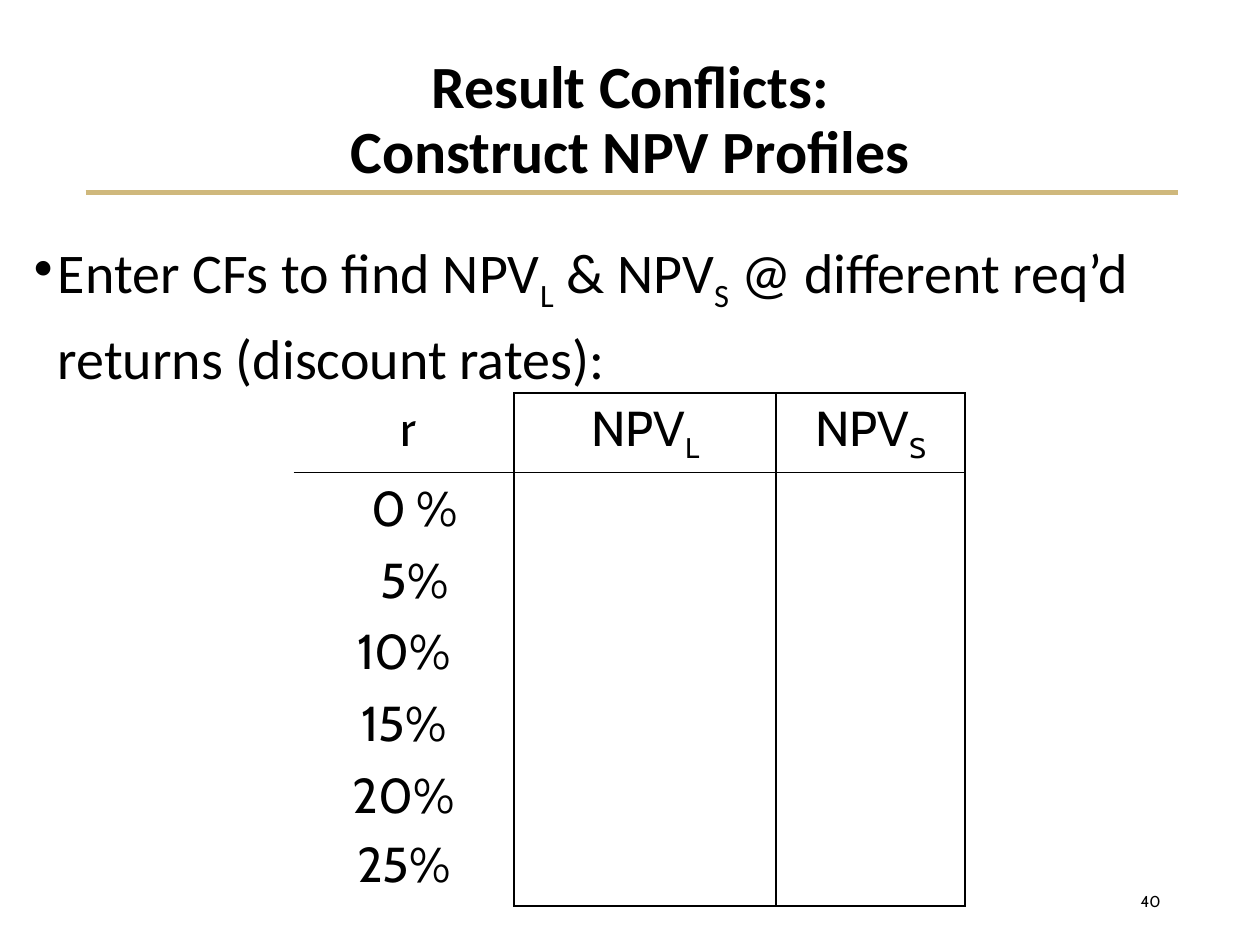
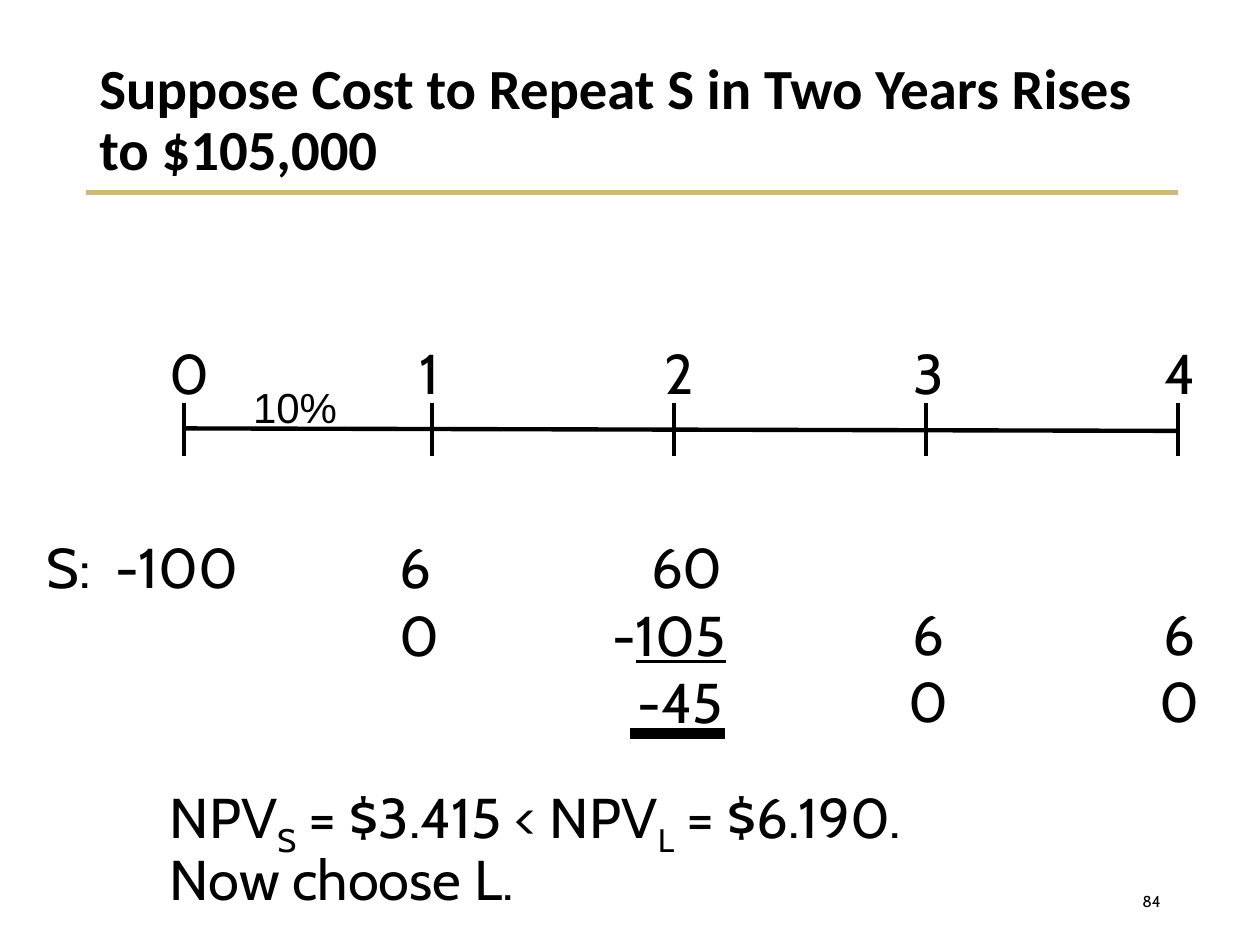
from lxml import etree
from pptx import Presentation
from pptx import util as u
from pptx.dml.color import RGBColor
from pptx.enum import shapes, text
from pptx.oxml.ns import qn

PX = 9144  # EMU per px, at 100 px to the inch
COLORS = {"ink": "000000", "gold": "CFB87C"}
TITLE = {"name": "Calibri", "bold": True}
BODY = {"name": "Calibri", "size": u.Pt(32)}
FIGURE = {"name": "Cabin", "size": u.Pt(32)}
TABLE = {"name": "Cabin", "size": u.Pt(28)}
PAGE = {"name": "Cabin", "size": u.Pt(9)}
RATE = {"name": "Arial", "size": u.Pt(24)}
CENTER, RIGHT = text.PP_ALIGN.CENTER, text.PP_ALIGN.RIGHT
MIDDLE = text.MSO_ANCHOR.MIDDLE


def color(name):
    return RGBColor.from_string(COLORS[name])


def add(parent, tag, **attributes):
    return etree.SubElement(parent, qn(tag), attributes)


def sub(letter):
    """A run set as a subscript."""
    return letter, {"baseline": "-25000"}


class Deck:
    def __init__(self):
        self.prs = Presentation()
        self.prs.slide_width, self.prs.slide_height = 1000 * PX, 750 * PX
        self.slide = None

    def new_slide(self, title, size, page, align=None):
        self.slide = self.prs.slides.add_slide(self.prs.slide_layouts[6])
        self.line(68, 153, 935, 153, 3, "gold")
        self.box((69, 40, 862, 113), [title], {**TITLE, "size": u.Pt(size)},
                 anchor=MIDDLE, alignment=align, line_spacing=0.9)
        self.box((706, 695, 225, 40), [page], PAGE, anchor=MIDDLE, alignment=RIGHT)

    def line(self, x1, y1, x2, y2, weight, ink="ink"):
        ends = [v * PX for v in (x1, y1, x2, y2)]
        line = self.slide.shapes.add_connector(shapes.MSO_CONNECTOR.STRAIGHT, *ends)
        line.line.color.rgb = color(ink)
        line.line.width = u.Pt(weight)
        add(line._element.spPr, "a:effectLst")

    def paragraph(self, para, content, font, indent=0, hanging=0, bullet=None,
                  tab=None, **layout):
        """Fill a paragraph from a string or a list of strings and (string, attributes)."""
        props = para._p.get_or_add_pPr()
        if indent:
            props.set("marL", str(indent * PX))
            props.set("indent", str(-hanging * PX))
        if bullet:
            add(props, "a:buChar", char=bullet)
        if tab:
            add(add(props, "a:tabLst"), "a:tab", pos=str(tab * PX), algn="l")
        for key, value in layout.items():
            setattr(para, key, value)
        for part in [content] if isinstance(content, str) else content:
            words, attributes = (part, {}) if isinstance(part, str) else part
            for i, row in enumerate(words.split("\n")):
                if i:
                    para.add_line_break()
                run = para.add_run()
                run.text = row
                for key, value in font.items():
                    setattr(run.font, key, value)
                run.font.color.rgb = color("ink")
                for key, value in attributes.items():
                    run._r.get_or_add_rPr().set(key, value)

    def box(self, place, paragraphs, font, wrap=True, anchor=None, indents=(), **layout):
        frame = self.slide.shapes.add_textbox(*[v * PX for v in place]).text_frame
        frame.word_wrap = wrap
        frame.vertical_anchor = anchor
        for i, content in enumerate(paragraphs):
            para = frame.add_paragraph() if i else frame.paragraphs[0]
            if indents:
                layout["indent"] = indents[i]
            self.paragraph(para, content, font, **layout)

    def borders(self, cell, edges):
        props = cell._tc.get_or_add_tcPr()
        for edge in "LRTB":
            line = add(props, f"a:ln{edge}", w=str(u.Pt(1)))
            if edge in edges:
                add(add(line, "a:solidFill"), "a:srgbClr", val=COLORS["ink"])
            else:
                add(line, "a:noFill")
        cell.fill.background()

    def profile_table(self, place, widths, heights, headings, rates):
        """Headings over a column of (indent, lines) rates, with open columns beside it."""
        shape = self.slide.shapes.add_table(len(heights), len(widths),
                                            *[v * PX for v in place])
        table = shape.table
        table.first_row = table.horz_banding = False
        for column, width in zip(table.columns, widths):
            column.width = width * PX
        for row, height in zip(table.rows, heights):
            row.height = height * PX
        last = len(heights) - 1
        for r in range(len(heights)):
            for c in range(len(widths)):
                edges = "LR" if c else "R"
                edges += {0: "TB" if c else "B", 1: "T"}.get(r, "")
                if r == last and c:
                    edges += "B"
                self.borders(table.cell(r, c), edges)
        for c, (indent, heading) in enumerate(headings):
            self.paragraph(table.cell(0, c).text_frame.paragraphs[0], heading, TABLE,
                           indent=indent, alignment=CENTER)
        for r, (indent, lines) in enumerate(rates, 1):
            frame = table.cell(r, 0).text_frame
            for i, rate in enumerate(lines):
                para = frame.add_paragraph() if i else frame.paragraphs[0]
                self.paragraph(para, rate, TABLE, indent=indent, alignment=CENTER)
                if i:
                    para.space_before = u.Pt(5.6)


def npv_profiles(deck):
    deck.new_slide("Result Conflicts:\nConstruct NPV Profiles", 34.2, "40", CENTER)
    prompt = ["Enter CFs to find NPV", sub("L"), " & NPV", sub("S"),
              " @ different req’d returns (discount rates):"]
    deck.box((17, 175, 958, 550), [prompt], BODY, indent=19, hanging=19,
             bullet="•", line_spacing=1.14)
    headings = [(7, "r"), (0, ["NPV", sub("L")]), (0, ["NPV", sub("S")])]
    rates = [(17, ["0 %"]), (17, ["5%"]), (0, ["10%"]), (0, ["15%"]), (0, ["20%", "25%"])]
    deck.profile_table((233, 312, 533, 400), [175, 208, 150], [57] * 5 + [116],
                       headings, rates)


def repeat_cost(deck):
    deck.new_slide("Suppose Cost to Repeat S in Two Years Rises to $105,000", 32.4, "84")
    verdict = ["NPV", sub("S"), " = $3.415 < NPV", sub("L"), " = $6.190."]
    deck.box((125, 617, 780, 107), [verdict, "Now choose L."], FIGURE, line_spacing=0.9)

    year_ticks = [146, 343, 535, 735, 935]
    year_labels = [125, 319, 517, 715, 914]
    deck.line(year_ticks[0], 340, year_ticks[-1], 342, 2.5)
    for year, (tick, label) in enumerate(zip(year_ticks, year_labels)):
        deck.line(tick, 320, tick, 362, 2.5)
        deck.box((label, 264, 44, 63), [str(year)], FIGURE, wrap=False, alignment=CENTER)
    deck.box((191, 298, 88, 50), ["10%"], RATE, wrap=False)

    first_row, second_row = 418, 471
    deck.box((27, first_row, 179, 64), ["S:\t-100"], FIGURE, tab=55)
    deck.box((307, first_row, 68, 117), ["60"], FIGURE)
    deck.box((476, first_row, 130, 171), ["60", ["-", ("105", {"u": "sng"})], "-45"],
             FIGURE, indents=(31, 0, 20))
    for left in (703, 902):
        deck.box((left, second_row, 68, 117), ["60"], FIGURE, alignment=CENTER)
    deck.line(500, 582, 575, 582, 6)


def main():
    deck = Deck()
    npv_profiles(deck)
    repeat_cost(deck)
    deck.prs.save("out.pptx")


if __name__ == "__main__":
    main()
